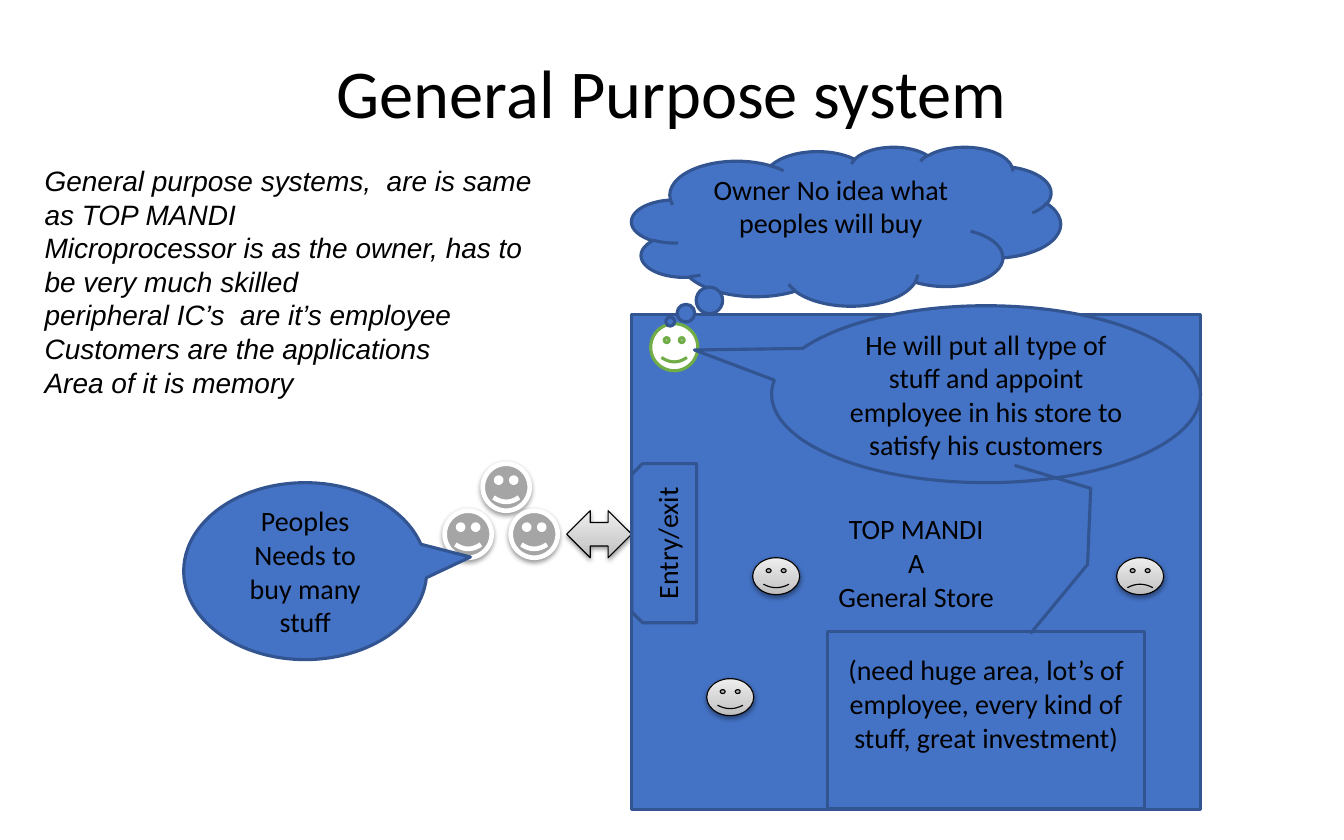
import copy

import lxml.etree
import pptx
import pptx.dml.color
import pptx.enum.shapes
import pptx.enum.text
import pptx.oxml.ns
import pptx.util

Inches = pptx.util.Inches
Pt = pptx.util.Pt
Kind = pptx.enum.shapes.MSO_SHAPE
Align = pptx.enum.text.PP_ALIGN
Anchor = pptx.enum.text.MSO_ANCHOR

HUES = {
    "ink": "000000", "white": "FFFFFF", "blue": "4472C4", "edge": "325491",
    "grey": "A5A5A5", "green": "70AD47",
}
FADE = [(0, "BDBDBD"), (0.35, "D1D1D1"), (1, "EEEEEE")]


def color(code):
    return pptx.dml.color.RGBColor.from_string(code)


def write(frame, text, font="Calibri", size=18, italic=None,
          align=Align.CENTER, anchor=Anchor.MIDDLE, bottom=0.05):
    """Fill a frame, one paragraph per line of text."""
    frame.word_wrap = True
    frame.vertical_anchor = anchor
    frame.margin_bottom = Inches(bottom)
    frame.text = text
    for para in frame.paragraphs:
        para.alignment = align
        para.font.name = font
        para.font.size = Pt(size)
        para.font.italic = italic
        para.font.color.rgb = color(HUES["ink"])


class Board:
    """Holds the style and the current slide."""

    def __init__(self, deck):
        self.slide = deck.slides.add_slide(deck.slide_layouts[5])

    def title(self, text, left, top, width, height):
        head = self.slide.shapes.title
        head.left, head.top = Inches(left), Inches(top)
        head.width, head.height = Inches(width), Inches(height)
        write(head.text_frame, text, size=44)

    def label(self, text, left, top, width, height, **style):
        box = self.slide.shapes.add_textbox(
            Inches(left), Inches(top), Inches(width), Inches(height))
        write(box.text_frame, text, **style)

    def shape(self, kind, left, top, width, height, fill="blue", line="edge",
              weight=2, points=(), text="", turn=0, **style):
        item = self.slide.shapes.add_shape(
            kind, Inches(left), Inches(top), Inches(width), Inches(height))
        item.shadow.inherit = False
        item.rotation = turn
        for place, value in enumerate(points):
            item.adjustments[place] = value
        if fill == "fade":
            self.blend(item)
        else:
            item.fill.solid()
            item.fill.fore_color.rgb = color(HUES[fill])
        item.line.color.rgb = color(HUES[line])
        item.line.width = Pt(weight)
        if text:
            write(item.text_frame, text, **style)
        return item

    def blend(self, item):
        item.fill.gradient()
        item.fill.gradient_angle = 90
        stops = item._element.spPr.xpath(".//a:gsLst")[0]
        stops.insert(1, copy.deepcopy(stops[0]))
        for stop, (place, code) in zip(item.fill.gradient_stops, FADE):
            stop.position = place
            stop.color.rgb = color(code)

    def raised(self, kind, left, top, width, height, **style):
        """A shape with a soft shadow below it."""
        item = self.shape(kind, left, top, width, height, **style)
        tag = pptx.oxml.ns.qn
        effects = item._element.spPr.find(tag("a:effectLst"))
        shade = lxml.etree.SubElement(
            effects, tag("a:outerShdw"), blurRad=str(Pt(3.1)),
            dist=str(Pt(1.6)), dir="5400000", rotWithShape="0")
        hue = lxml.etree.SubElement(shade, tag("a:srgbClr"), val=HUES["ink"])
        lxml.etree.SubElement(hue, tag("a:alpha"), val="38000")


def main():
    deck = pptx.Presentation()
    deck.slide_width, deck.slide_height = Inches(12), Inches(7.5)
    board = Board(deck)
    board.title("General Purpose system", 1.5, 0.29, 9, 1.04)

    # Store
    board.shape(Kind.RECTANGLE, 5.64, 2.81, 5.08, 4.42,
                text="TOP MANDI\nA\nGeneral Store")

    # Customers and owner
    for left, top in [(4.31, 4.14), (4.56, 4.56), (3.97, 4.56)]:
        board.raised(Kind.SMILEY_FACE, left, top, 0.42, 0.42,
                     fill="grey", line="white", weight=3)
    board.shape(Kind.SMILEY_FACE, 5.81, 2.89, 0.42, 0.42,
                fill="white", line="green")

    # Speech, thought and door
    board.shape(Kind.OVAL_CALLOUT, 1.64, 4.31, 2.17, 1.58,
                points=(0.68, -0.08), text="Peoples\nNeeds to buy many stuff")
    board.raised(Kind.LEFT_RIGHT_ARROW, 5.06, 4.56, 0.58, 0.42,
                 fill="fade", line="ink", weight=0.75)
    board.shape(Kind.CLOUD_CALLOUT, 5.64, 1.31, 3.83, 1.42,
                points=(-0.41, 0.6), bottom=0.35,
                text="Owner No idea what peoples will buy")
    board.shape(Kind.OVAL_CALLOUT, 6.89, 2.73, 3.83, 1.58,
                points=(-0.68, -0.25),
                text="He will put all type of stuff and appoint employee "
                     "in his store to satisfy his customers")
    board.shape(Kind.SNIP_2_SAME_RECTANGLE, 5.22, 4.56, 1.42, 0.58,
                turn=270, text="Entry/exit")
    board.shape(Kind.LINE_CALLOUT_3, 7.39, 5.64, 2.83, 1.58, bottom=0.35,
                points=(0.01, 0.64, -0.38, 0.82, -0.81, 0.83, -0.94, 0.59),
                text="(need huge area, lot’s of employee, every kind of "
                     "stuff, great investment)")

    # Staff, the last one with a frown
    for left, top, mouth in [(6.72, 4.98, 0.05), (6.31, 6.06, 0.05),
                             (9.97, 4.98, -0.05)]:
        board.raised(Kind.SMILEY_FACE, left, top, 0.42, 0.33, fill="fade",
                     line="ink", weight=0.75, points=(mouth,))

    # Notes on the left
    board.label("General purpose systems,  are is same as TOP MANDI\n"
                "Microprocessor is as the owner, has to be very much skilled\n"
                "peripheral IC’s  are it’s employee\n"
                "Customers are the applications\n"
                "Area of it is memory",
                0.3, 1.41, 4.67, 2.22, font="Arial", italic=True,
                align=Align.LEFT, anchor=Anchor.TOP)

    deck.save("out.pptx")


if __name__ == "__main__":
    main()
